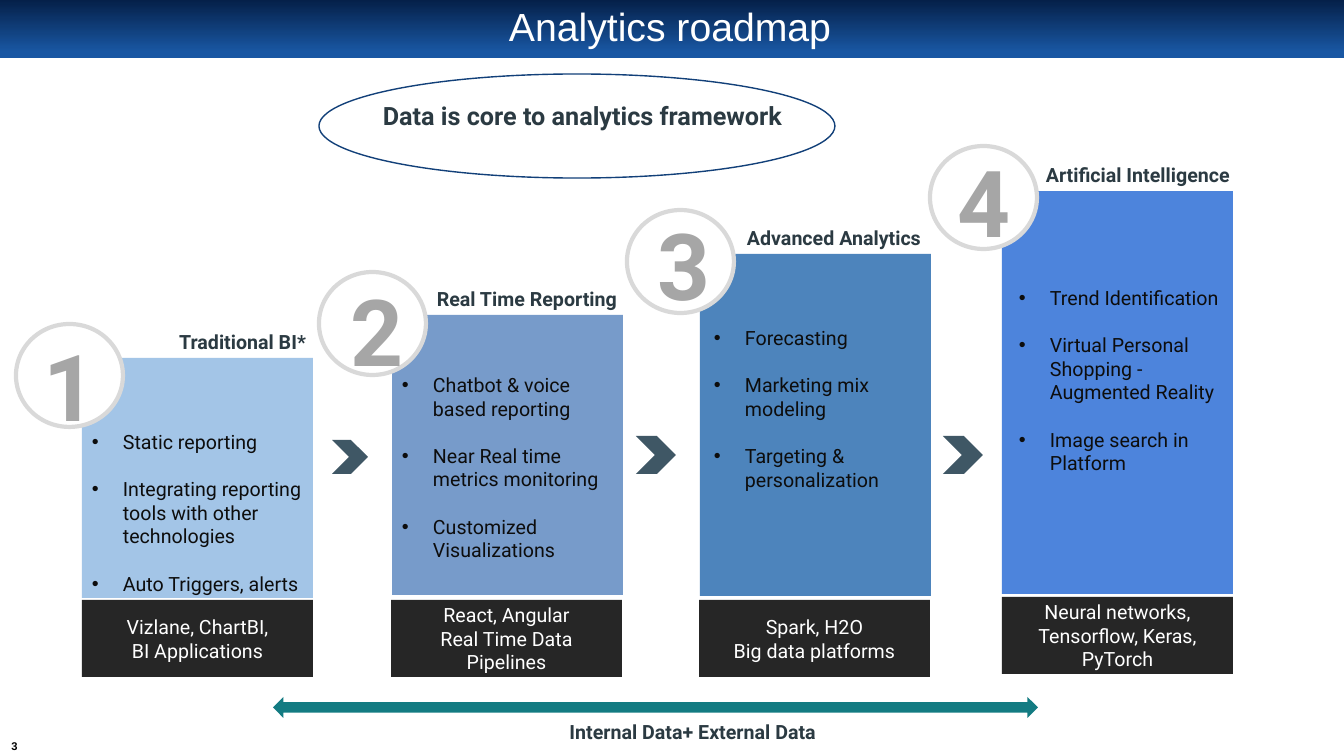
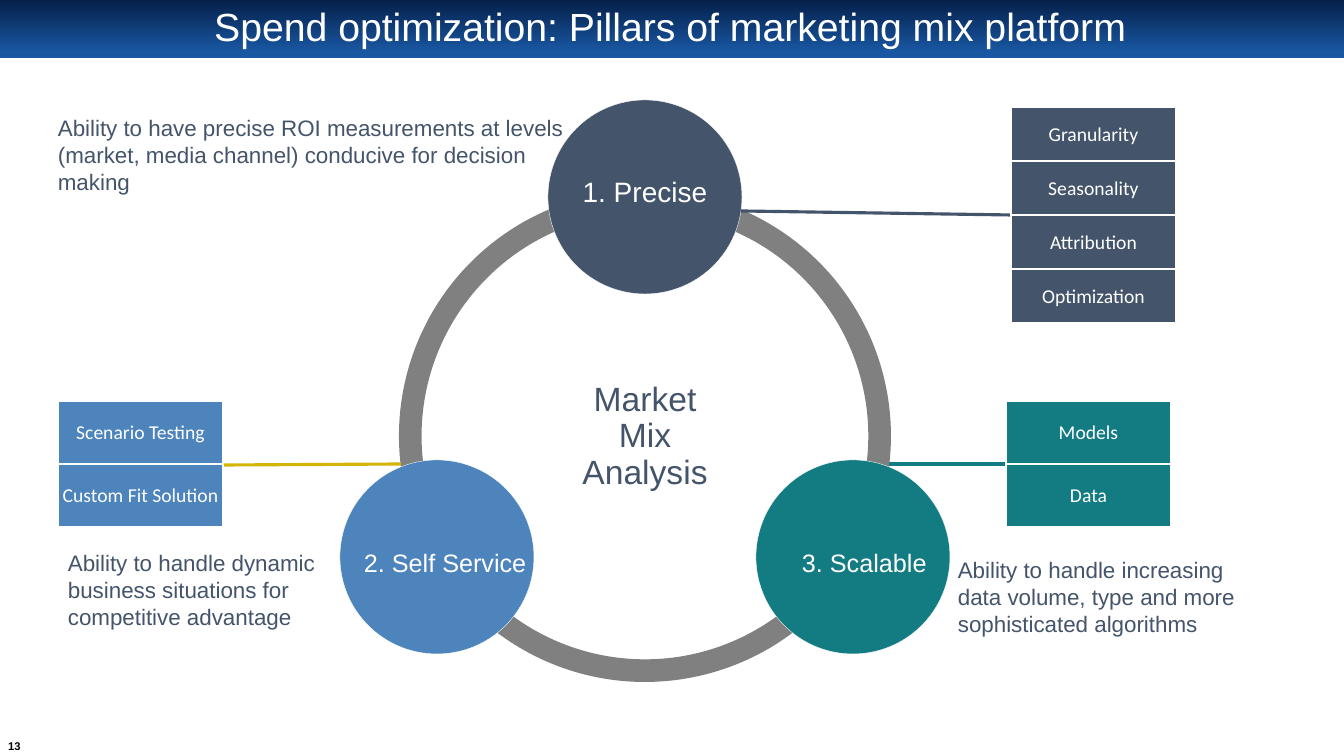
from dataclasses import dataclass
from lxml import etree
from pptx import Presentation
from pptx.dml.color import RGBColor
from pptx.enum.shapes import MSO_CONNECTOR, MSO_SHAPE as Shape
from pptx.enum.text import MSO_ANCHOR as Anchor, MSO_AUTO_SIZE as AutoSize, PP_ALIGN as Align
from pptx.oxml.ns import qn
from pptx.util import Pt

PX = 12192000 / 1344  # EMU in one px
WIDTH, HEIGHT = 1344, 756

WHITE = RGBColor(0xFF, 0xFF, 0xFF)
BLACK = RGBColor(0x00, 0x00, 0x00)
BAND_TOP = RGBColor(0x05, 0x20, 0x49)
BAND_BOTTOM = RGBColor(0x19, 0x57, 0xA3)
INK = RGBColor(0x2B, 0x3A, 0x42)
NEAR_BLACK = RGBColor(0x0D, 0x0D, 0x0D)
CHARCOAL = RGBColor(0x26, 0x26, 0x26)
SLATE = RGBColor(0x44, 0x54, 0x6A)
CHEVRON = RGBColor(0x3F, 0x57, 0x65)
NAVY = RGBColor(0x12, 0x40, 0x79)
RIM = RGBColor(0xD9, 0xD9, 0xD9)
NUMERAL = RGBColor(0xA6, 0xA6, 0xA6)
RING = RGBColor(0x80, 0x80, 0x80)
TEAL = RGBColor(0x13, 0x7B, 0x82)
BLUE = RGBColor(0x4D, 0x84, 0xBC)
PALE_BLUE = RGBColor(0xA3, 0xC5, 0xE7)
SOFT_BLUE = RGBColor(0x77, 0x9B, 0xCA)
BRIGHT_BLUE = RGBColor(0x4D, 0x84, 0xDC)
GOLD = RGBColor(0xD4, 0xB5, 0x07)


def px(*lengths):
    return [round(length * PX) for length in lengths]


class Board:
    """Holds the deck, its shared style and the slide being built."""

    def __init__(self):
        self.deck = Presentation()
        self.deck.slide_width, self.deck.slide_height = px(WIDTH, HEIGHT)
        self.page = None

    def new_page(self, title, number):
        self.page = self.deck.slides.add_slide(self.deck.slide_layouts[5])
        band = self.shape(Shape.RECTANGLE, (0, 0, WIDTH, 58))
        band.fill.gradient()
        band.fill.gradient_angle = 270
        stops = band.fill.gradient_stops
        for stop, color, position in zip(stops, (BAND_TOP, BAND_BOTTOM), (0, 0.9)):
            stop.color.rgb, stop.position = color, position
        heading = self.page.shapes.title
        heading.left, heading.top, heading.width, heading.height = px(67, 6, 1206, 45)
        heading.text_frame.auto_size = AutoSize.NONE
        self.fill_text(heading, [title], 28, WHITE, align=Align.CENTER, anchor=Anchor.MIDDLE, spacing=0.9)
        heading._element.addprevious(band._element)
        self.text((2, 736, 25, 19), [str(number)], 8, BLACK, bold=True, align=Align.CENTER,
                  anchor=Anchor.MIDDLE, inset=0, wrap=False)

    def fill_text(self, box, lines, size, color, font="Arial", bold=False, align=Align.LEFT,
                  anchor=Anchor.TOP, spacing=None, inset=None, wrap=True, bullets=False):
        frame = box.text_frame
        frame.text = "\n".join(lines)
        frame.word_wrap, frame.vertical_anchor = wrap, anchor
        if inset is not None:
            frame.margin_left, frame.margin_top, frame.margin_right, frame.margin_bottom = px(*[inset] * 4)
        for index, para in enumerate(frame.paragraphs):
            para.alignment = align
            if spacing:
                para.line_spacing = spacing
            if bullets:
                if index:
                    para.space_before = Pt(17)
                self.bullet(para)
            for span in para.runs:
                span.font.name, span.font.size, span.font.bold = font, Pt(size), bold
                span.font.color.rgb = color

    def bullet(self, para):
        indent = px(31)[0]
        properties = para._p.get_or_add_pPr()
        properties.set("marL", str(indent))
        properties.set("indent", str(-indent))
        etree.SubElement(properties, qn("a:buFont"), typeface="Arial")
        etree.SubElement(properties, qn("a:buChar"), char="•")

    def text(self, place, lines, size, color, **look):
        box = self.page.shapes.add_textbox(*px(*place))
        self.fill_text(box, lines, size, color, **look)

    def shape(self, kind, place, fill=None, line=None, weight=1, adjust=()):
        shape = self.page.shapes.add_shape(kind, *px(*place))
        shape.shadow.inherit = False
        for index, value in enumerate(adjust):
            shape.adjustments[index] = value
        if fill is None:
            shape.fill.background()
        else:
            shape.fill.solid()
            shape.fill.fore_color.rgb = fill
        if line is None:
            shape.line.fill.background()
        else:
            shape.line.color.rgb, shape.line.width = line, Pt(weight)
        return shape

    def line(self, ends, color):
        line = self.page.shapes.add_connector(MSO_CONNECTOR.STRAIGHT, *px(*ends))
        line.line.color.rgb, line.line.width = color, Pt(2.25)
        etree.SubElement(line._element.spPr, qn("a:effectLst"))

    def table(self, place, labels, fill):
        """Draw a one-column table of white labels."""
        table = self.page.shapes.add_table(len(labels), 1, *px(*place)).table
        table.first_row = table.horz_banding = False
        for cell, label in zip(table.iter_cells(), labels):
            cell.fill.solid()
            cell.fill.fore_color.rgb = fill
            cell.vertical_anchor = Anchor.MIDDLE
            cell.margin_left, cell.margin_top, cell.margin_right, cell.margin_bottom = px(1, 1, 1, 0)
            cell.text = label
            para = cell.text_frame.paragraphs[0]
            para.alignment = Align.CENTER
            font = para.runs[0].font
            font.name, font.size, font.color.rgb = "Calibri", Pt(14), WHITE
            properties = cell._tc.get_or_add_tcPr()
            for index, side in enumerate("LRTB"):
                border = etree.Element(qn(f"a:ln{side}"), w=str(Pt(1)))
                solid = etree.SubElement(border, qn("a:solidFill"))
                etree.SubElement(solid, qn("a:srgbClr"), val=str(WHITE))
                properties.insert(index, border)


@dataclass
class Step:
    name: str
    color: RGBColor
    bar: tuple
    label_right: int
    badge: tuple
    numeral: tuple
    list_at: tuple
    items: list
    tools_at: tuple
    tools: list


BAR_WIDTH = 231
STEPS = [
    Step("Traditional BI*", PALE_BLUE, (82, 358, 240), 316, (16, 324), (34, 324), (82, 425),
         ["Static reporting", "Integrating reporting tools with other technologies", "Auto Triggers, alerts"],
         (82, 600), ["Vizlane, ChartBI,", "BI Applications"]),
    Step("Real Time Reporting", SOFT_BLUE, (392, 315, 280), 627, (319, 272), (341, 269), (392, 368),
         ["Chatbot & voice based reporting", "Near Real time metrics monitoring", "Customized Visualizations"],
         (391, 600), ["React, Angular", "Real Time Data Pipelines"]),
    Step("Advanced Analytics", BLUE, (700, 254, 342), 931, (627, 210), (648, 203), (704, 321),
         ["Forecasting", "Marketing mix modeling", "Targeting & personalization"],
         (699, 600), ["Spark, H2O", "Big data platforms"]),
    Step("Artificial Intelligence", BRIGHT_BLUE, (1002, 191, 403), 1240, (930, 146), (948, 140), (1009, 281),
         ["Trend Identification", "Virtual Personal Shopping - Augmented Reality", "Image search in Platform"],
         (1002, 597), ["Neural networks, Tensorflow, Keras, PyTorch"]),
]


def build_roadmap(board):
    board.new_page("Analytics roadmap", 3)
    heading = dict(font="Roboto", bold=True)
    for number, step in enumerate(STEPS, 1):
        left, top, height = step.bar
        board.shape(Shape.RECTANGLE, (left, top, BAR_WIDTH, height), step.color)
        board.text((step.label_right - 227, top - 33, 227, 31), [step.name], 14, INK,
                   align=Align.RIGHT, **heading)
        board.shape(Shape.OVAL, (*step.badge, 107, 103), WHITE, RIM, 3)
        board.text((*step.numeral, 71, 113), [str(number)], 66, NUMERAL, wrap=False, **heading)
        board.text((*step.list_at, BAR_WIDTH, 170), step.items, 14, NEAR_BLACK, font="Roboto", bullets=True)
        tools = board.shape(Shape.RECTANGLE, (*step.tools_at, BAR_WIDTH, 77), CHARCOAL)
        board.fill_text(tools, step.tools, 14, WHITE, font="Roboto", align=Align.CENTER, anchor=Anchor.MIDDLE)
    for place in [(332, 440, 36, 34), (636, 436, 40, 38), (943, 436, 40, 38)]:
        board.shape(Shape.CHEVRON, place, CHEVRON)
    board.shape(Shape.LEFT_RIGHT_ARROW, (273, 697, 765, 21), TEAL)
    board.text((525, 715, 301, 34), ["Internal Data+ External Data"], 14, INK, align=Align.RIGHT, **heading)
    board.text((364, 95, 437, 72), ["Data is core to analytics framework"], 18, INK,
               align=Align.CENTER, **heading)
    board.shape(Shape.OVAL, (319, 74, 516, 104), line=NAVY)


def build_pillars(board):
    board.new_page("Spend optimization: Pillars of marketing mix platform", 13)
    for start, end in [(90, 162), (18, 90), (162, 18)]:
        # An angle adjustment of 1 stands for 100000 / 60000 degrees
        board.shape(Shape.BLOCK_ARC, (399, 190, 492, 492), RING, adjust=(start * 0.6, end * 0.6, 0.046))
    hub = board.shape(Shape.OVAL, (532, 324, 226, 226), WHITE, WHITE, 1.5)
    board.fill_text(hub, ["Market Mix Analysis"], 24, SLATE, align=Align.CENTER, anchor=Anchor.MIDDLE,
                    spacing=0.9, inset=3)

    for left, top, color in [(548, 100, SLATE), (756, 460, TEAL), (340, 460, BLUE)]:
        board.shape(Shape.OVAL, (left, top, 194, 194), color, WHITE, 0.25)
    board.text((572, 170, 146, 44), ["1. Precise"], 20, WHITE, align=Align.CENTER, wrap=False)
    board.text((354, 542, 184, 40), ["2. Self Service"], 18, WHITE, wrap=False)
    board.text((792, 542, 146, 40), ["3. Scalable"], 18, WHITE, wrap=False)

    for place, benefit in [
        ((48, 109, 527, 92), "Ability to have precise ROI measurements at levels (market, media channel) "
                             "conducive for decision making"),
        ((58, 544, 270, 92), "Ability to handle dynamic business situations for competitive advantage"),
        ((948, 551, 332, 92), "Ability to handle increasing data volume, type and more sophisticated algorithms"),
    ]:
        board.text(place, [benefit], 16, SLATE)

    for ends, color in [((741, 211, 1011, 215), SLATE), ((224, 465, 401, 464), GOLD),
                        ((1006, 464, 889, 464), TEAL)]:
        board.line(ends, color)
    board.table((1011, 107, 165, 216), ["Granularity", "Seasonality", "Attribution", "Optimization"], SLATE)
    board.table((58, 401, 165, 126), ["Scenario Testing", "Custom Fit Solution"], BLUE)
    board.table((1006, 401, 165, 126), ["Models", "Data"], TEAL)


def main():
    board = Board()
    build_roadmap(board)
    build_pillars(board)
    board.deck.save("out.pptx")


if __name__ == "__main__":
    main()
